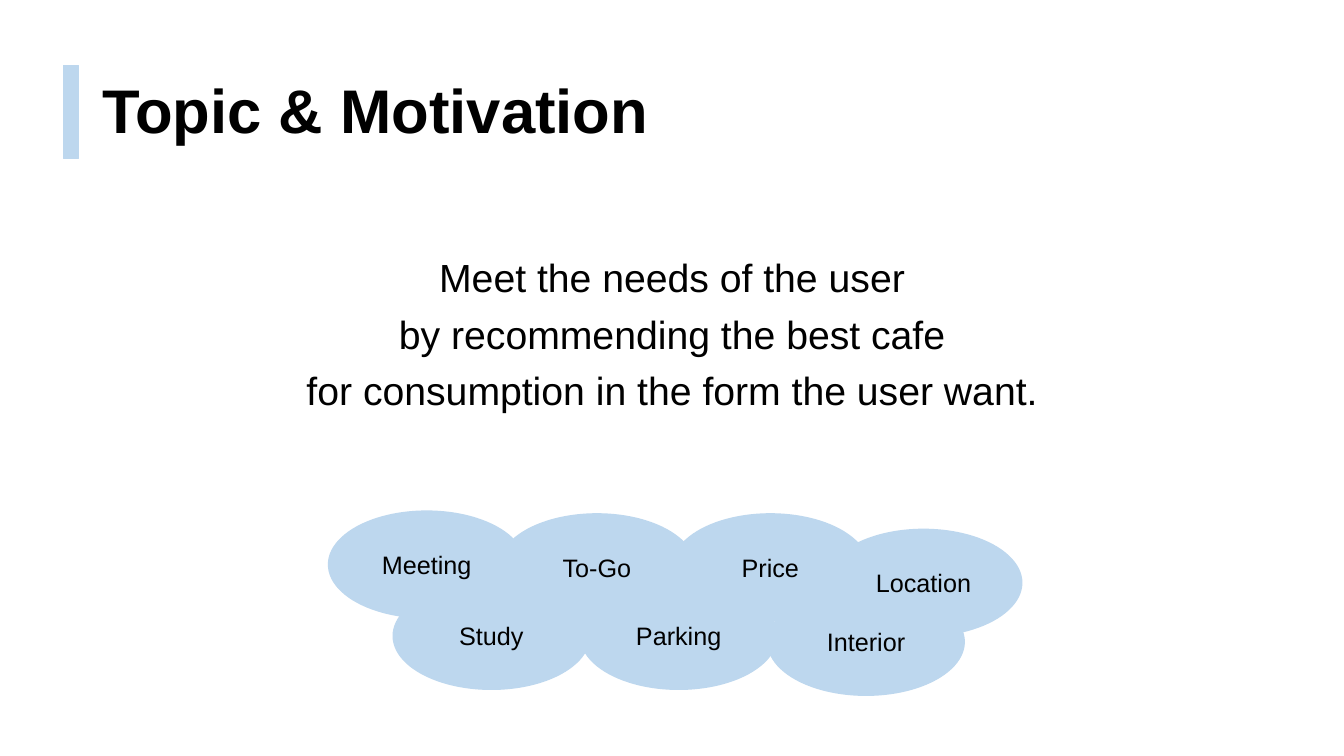
from pptx import Presentation
from pptx.dml.color import RGBColor
from pptx.enum.shapes import MSO_SHAPE as Shape
from pptx.enum.text import MSO_ANCHOR as Anchor, PP_ALIGN as Align
from pptx.util import Cm, Pt

PALE_BLUE = "BDD7EE"
BLACK = "000000"
TEXT_LEFT, TEXT_WIDTH = 2.33, 29.21
NEED_WIDTH, NEED_HEIGHT = 4.95, 2.69
NEEDS = [
    ("To-Go", 12.57, 12.95),
    ("Parking", 14.63, 14.68),
    ("Price", 16.94, 12.95),
    ("Interior", 19.35, 14.83),
    ("Location", 20.8, 13.34),
    ("Study", 9.91, 14.68),
    ("Meeting", 8.28, 12.88),
]
MOTIVATION = [
    "Meet the needs of the user",
    "by recommending the best cafe",
    "for consumption in the form the user want.",
]


def color(hex_code):
    return RGBColor.from_string(hex_code)


def write(frame, lines, size, align, anchor, bold=False, spacing=1.0, before=0):
    frame.word_wrap = True
    frame.vertical_anchor = anchor
    frame.text = "\n".join(lines)
    for paragraph in frame.paragraphs:
        paragraph.alignment = align
        paragraph.line_spacing = spacing
        paragraph.space_before = Pt(before)
        paragraph.font.name = "Arial"
        paragraph.font.size = Pt(size)
        paragraph.font.bold = bold
        paragraph.font.color.rgb = color(BLACK)


def add_text(slide, top, height, lines, size, align, anchor, **style):
    box = slide.shapes.add_textbox(
        Cm(TEXT_LEFT), Cm(top), Cm(TEXT_WIDTH), Cm(height))
    write(box.text_frame, lines, size, align, anchor, spacing=0.9, **style)


def add_blue_shape(slide, kind, left, top, width, height):
    shape = slide.shapes.add_shape(
        kind, Cm(left), Cm(top), Cm(width), Cm(height))
    shape.shadow.inherit = False
    shape.fill.solid()
    shape.fill.fore_color.rgb = color(PALE_BLUE)
    shape.line.color.rgb = color(PALE_BLUE)
    shape.line.width = Pt(1)
    return shape


def add_need(slide, label, left, top):
    bubble = add_blue_shape(
        slide, Shape.OVAL, left, top, NEED_WIDTH, NEED_HEIGHT)
    write(bubble.text_frame, [label], 18, Align.CENTER, Anchor.MIDDLE)


def main():
    deck = Presentation()
    deck.slide_width, deck.slide_height = Cm(33.87), Cm(19.05)
    slide = deck.slides.add_slide(deck.slide_layouts[6])

    add_blue_shape(slide, Shape.RECTANGLE, 1.6, 1.65, 0.38, 2.34)
    add_text(slide, 1.01, 3.68, ["Topic & Motivation"], 44,
             Align.LEFT, Anchor.MIDDLE, bold=True)
    add_text(slide, 6.4, 10.77, MOTIVATION, 28,
             Align.CENTER, Anchor.TOP, before=10)
    for label, left, top in NEEDS:
        add_need(slide, label, left, top)

    deck.save("out.pptx")


if __name__ == "__main__":
    main()
